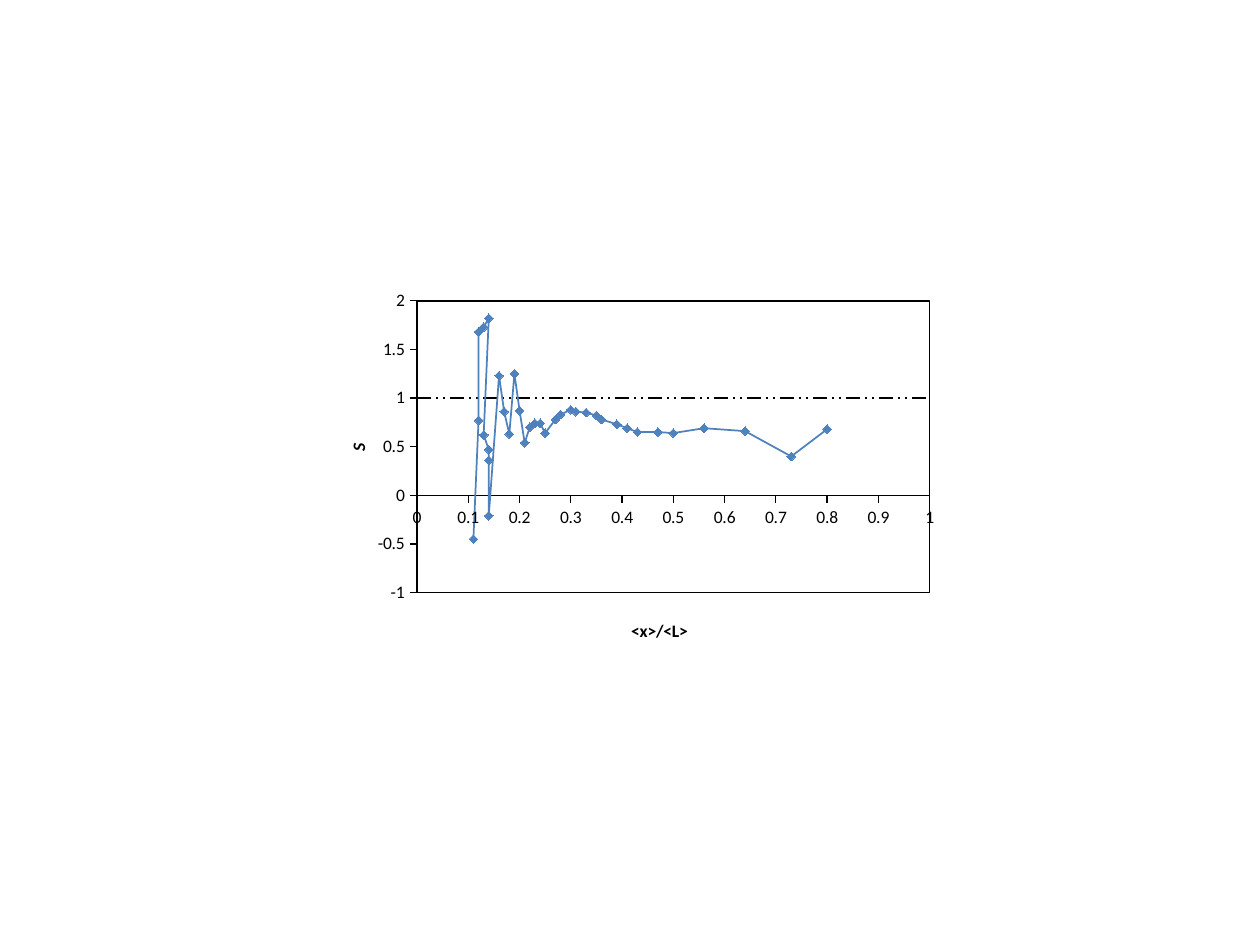
"""Build a slide with a scatter chart of S against <x>/<L>."""
from lxml import etree
from pptx import Presentation
from pptx.chart.data import XyChartData
from pptx.dml.color import RGBColor
from pptx.enum import chart as ch, dml
from pptx.oxml import parse_xml
from pptx.oxml.ns import nsdecls, qn
from pptx.util import Pt

HUE = {"blue": "4F81BD", "black": "000000"}
CURVE = [
    (0.11, -0.45), (0.12, 0.77), (0.12, 1.68), (0.13, 1.73), (0.14, 1.82),
    (0.13, 0.62), (0.14, 0.47), (0.14, 0.36), (0.14, -0.21), (0.16, 1.23),
    (0.17, 0.86), (0.18, 0.63), (0.19, 1.25), (0.2, 0.87), (0.21, 0.54),
    (0.22, 0.7), (0.23, 0.74), (0.24, 0.74), (0.25, 0.64), (0.27, 0.78),
    (0.28, 0.83), (0.3, 0.88), (0.31, 0.86), (0.33, 0.85), (0.35, 0.82),
    (0.36, 0.78), (0.39, 0.73), (0.41, 0.69), (0.43, 0.65), (0.47, 0.65),
    (0.5, 0.64), (0.56, 0.69), (0.64, 0.66), (0.73, 0.4), (0.8, 0.68),
]
SERIES = [
    ("Series 1", CURVE, "blue", dml.MSO_LINE.SOLID, ch.XL_MARKER_STYLE.DIAMOND),
    ("Series 2", [(0, 1), (1, 1)], "black", dml.MSO_LINE.DASH_DOT_DOT,
     ch.XL_MARKER_STYLE.NONE),
]
BOX = (178.56, 162, 362.16, 216)
PLOT = {"x": 0.165, "y": 0.046, "w": 0.809, "h": 0.772}


def tint(name):
    return RGBColor.from_string(HUE[name])


def stroke(line, name, width):
    line.color.rgb = tint(name)
    line.width = Pt(width)


def place(node, index, spots, inner=False):
    for old in node.findall(qn("c:layout")):
        node.remove(old)
    layout = parse_xml(f"<c:layout {nsdecls('c')}><c:manualLayout/></c:layout>")
    marks = [("layoutTarget", "inner")] if inner else []
    marks += [("xMode", "edge"), ("yMode", "edge"), *spots.items()]
    for tag, val in marks:
        etree.SubElement(layout[0], qn(f"c:{tag}")).set("val", str(val))
    node.insert(index, layout)


def style(axis, title, low, high, step, spot, slant):
    axis.minimum_scale, axis.maximum_scale, axis.major_unit = low, high, step
    axis.has_major_gridlines = False
    axis.major_tick_mark = ch.XL_TICK_MARK.OUTSIDE
    axis.minor_tick_mark = ch.XL_TICK_MARK.NONE
    axis.tick_labels.number_format = "General"
    axis.tick_labels.number_format_is_linked = False
    stroke(axis.format.line, "black", 0.75)
    run = axis.axis_title.text_frame.paragraphs[0].add_run()
    run.text = title
    font = run.font
    font.name, font.size, font.bold, font.italic = "Calibri", Pt(10), True, slant
    font.color.rgb = tint("black")
    place(axis.axis_title._element, 1, spot)


def main():
    deck = Presentation()
    deck.slide_width, deck.slide_height = Pt(720), Pt(540)
    slide = deck.slides.add_slide(deck.slide_layouts[6])
    data = XyChartData()
    for name, points, *_ in SERIES:
        group = data.add_series(name)
        for x, y in points:
            group.add_data_point(x, y)
    chart = slide.shapes.add_chart(
        ch.XL_CHART_TYPE.XY_SCATTER_LINES, *map(Pt, BOX), data).chart
    chart.has_title = chart.has_legend = False
    chart.font.name, chart.font.size = "Calibri", Pt(10)
    chart.font.color.rgb = tint("black")
    plot = chart.plots[0]
    plot.vary_by_categories = False
    for line, (_, _, hue, dash, mark) in zip(plot.series, SERIES):
        line.smooth = False
        stroke(line.format.line, hue, 1)
        line.format.line.dash_style = dash
        line.marker.style = mark
        if mark != ch.XL_MARKER_STYLE.NONE:
            line.marker.size = 5
            line.marker.format.fill.solid()
            line.marker.format.fill.fore_color.rgb = tint(hue)
            stroke(line.marker.format.line, hue, 0.75)
    style(chart.category_axis, "<x>/<L>", 0, 1, 0.1, {"x": 0.498, "y": 0.88}, False)
    style(chart.value_axis, "S", -1, 2, 0.5, {"x": 0.05, "y": 0.415}, True)
    area = chart._chartSpace.find(".//" + qn("c:plotArea"))
    place(area, 0, PLOT, inner=True)
    area.append(parse_xml(
        f'<c:spPr {nsdecls("c", "a")}><a:noFill/><a:ln w="{Pt(0.75)}"><a:solidFill>'
        f'<a:srgbClr val="{HUE["black"]}"/></a:solidFill></a:ln></c:spPr>'))
    deck.save("out.pptx")


if __name__ == "__main__":
    main()
